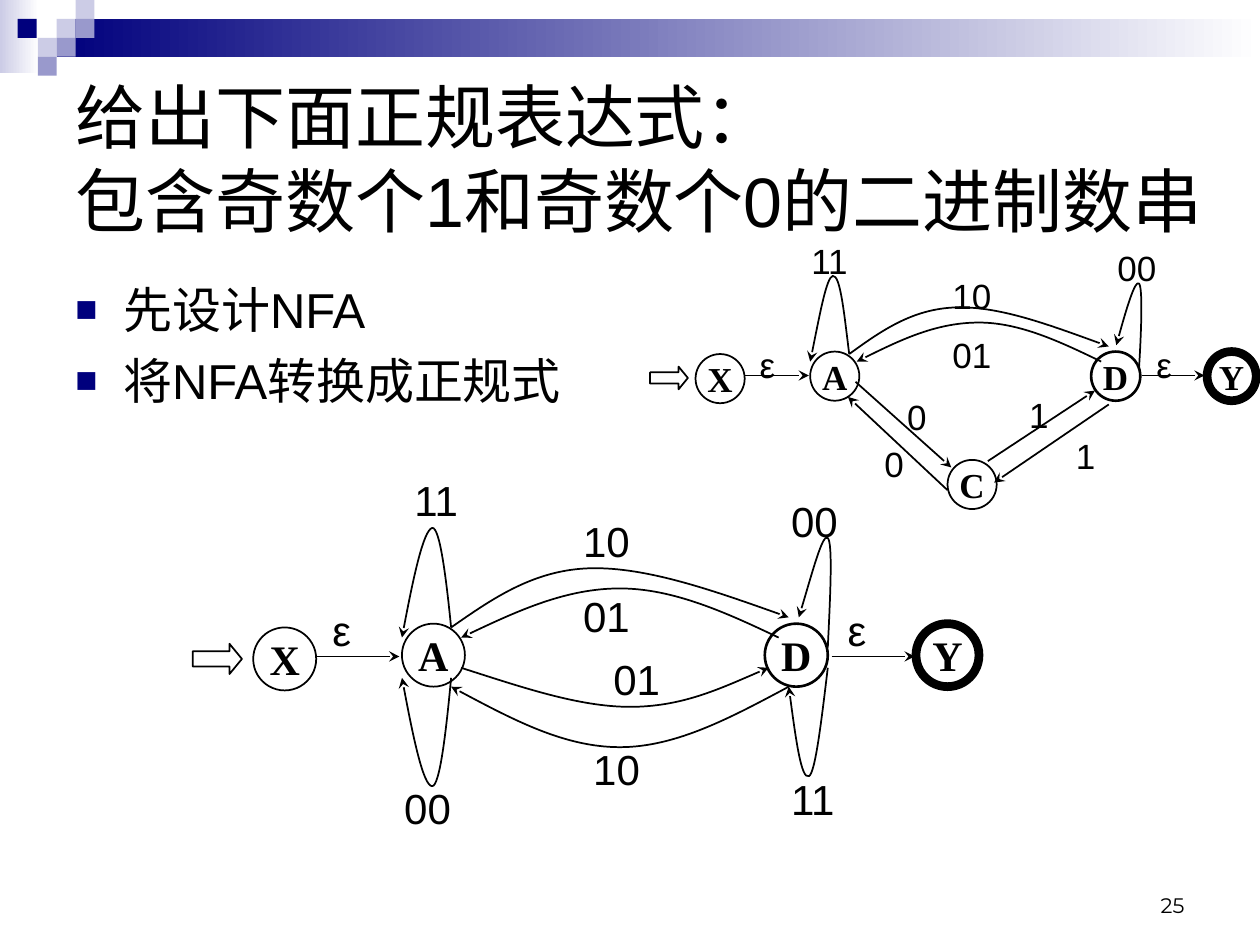
import copy

import lxml.etree
import pptx
import pptx.dml.color
import pptx.enum.shapes
import pptx.enum.text
import pptx.oxml.ns
import pptx.util

Inches = pptx.util.Inches
Pt = pptx.util.Pt
qn = pptx.oxml.ns.qn
Shape = pptx.enum.shapes.MSO_SHAPE
Align = pptx.enum.text.PP_ALIGN
Anchor = pptx.enum.text.MSO_ANCHOR
AutoSize = pptx.enum.text.MSO_AUTO_SIZE

COLORS = {"ink": "000000", "navy": "00007D", "violet": "9999CC",
          "pale": "CCCCE6", "white": "FFFFFF"}

# Left, top and colour of the small squares in the corner
SQUARES = [(0.45, 0.15, "pale"), (0.6, 0, "pale"), (0.6, 0.15, "violet"),
           (0.3, 0.3, "pale"), (0.14, 0.15, "navy"),
           (0.45, 0.3, "violet"), (0.3, 0.45, "violet")]

# Label width by text size and text
LABEL_WIDTHS = {20: {"ε": 0.32, "0": 0.35, "1": 0.35}, 24: {"ε": 0.34}}
PAIR_WIDTHS = {20: 0.51, 24: 0.57}

# nodes: name, left, top, line width; labels: text, left, top
# lines: start, end, width; curves: start, then three points per Bezier piece
WITH_STATE_C = {
    "size": 20, "node": 0.39, "label_height": 0.44,
    "entry": (5.16, 2.91, 0.3, 0.18),
    "nodes": [("A", 6.43, 2.79, 1), ("D", 8.66, 2.79, 1.5), ("C", 7.52, 3.65, 1),
              ("Y", 9.58, 2.79, 5), ("X", 5.52, 2.81, 1)],
    "labels": [("10", 7.46, 2.13), ("11", 6.34, 1.85), ("1", 8.44, 3.4),
               ("0", 6.92, 3.46), ("1", 8.07, 3.07), ("0", 7.1, 3.09),
               ("ε", 5.93, 2.68), ("ε", 9.08, 2.68), ("01", 7.46, 2.6),
               ("00", 8.77, 1.91)],
    "lines": [((8.8, 3.21), (7.89, 3.83), 1), ((7.84, 3.66), (8.69, 3.1), 1),
              ((7.52, 3.89), (6.73, 3.15), 1), ((6.79, 3.03), (7.55, 3.71), 1),
              ((5.91, 2.98), (6.42, 2.98), 0.75), ((9.06, 2.98), (9.56, 2.98), 0.75)],
    "curves": [
        [(6.74, 2.81), (6.99, 2.63), (7.24, 2.45), (7.59, 2.44),
         (7.93, 2.43), (8.36, 2.59), (8.8, 2.75)],
        [(8.74, 2.87), (8.41, 2.71), (8.09, 2.56), (7.77, 2.56),
         (7.44, 2.56), (7.12, 2.71), (6.8, 2.87)],
        [(6.74, 2.81), (6.7, 2.49), (6.67, 2.18), (6.61, 2.19),
         (6.56, 2.2), (6.5, 2.53), (6.43, 2.87)],
        [(9.04, 2.93), (9.06, 2.61), (9.07, 2.28), (9.04, 2.25),
         (9.01, 2.22), (8.93, 2.48), (8.86, 2.74)]],
}
WITHOUT_STATE_C = {
    "size": 24, "node": 0.5, "label_height": 0.5,
    "entry": (1.53, 5.11, 0.39, 0.24),
    "nodes": [("A", 3.19, 4.95, 1), ("D", 6.07, 4.95, 1.5),
              ("Y", 7.27, 4.95, 5), ("X", 2.01, 4.98, 1)],
    "labels": [("01", 4.77, 5.14), ("10", 4.61, 5.85), ("00", 3.11, 6.16),
               ("10", 4.53, 4.04), ("11", 3.19, 3.72), ("ε", 2.54, 4.75),
               ("ε", 6.63, 4.75), ("01", 4.53, 4.64), ("00", 6.18, 3.88),
               ("11", 6.18, 6.09)],
    "lines": [((2.51, 5.21), (3.17, 5.21), 0.75), ((6.6, 5.21), (7.26, 5.21), 0.75)],
    "curves": [
        [(3.66, 5.3), (4.13, 5.45), (4.59, 5.61), (5, 5.61),
         (5.41, 5.61), (5.75, 5.45), (6.1, 5.3)],
        [(6.26, 5.45), (5.81, 5.69), (5.37, 5.93), (4.92, 5.93),
         (4.48, 5.93), (4.03, 5.69), (3.58, 5.45)],
        [(3.58, 5.38), (3.54, 5.81), (3.49, 6.24), (3.43, 6.24),
         (3.36, 6.24), (3.27, 5.81), (3.19, 5.38)],
        [(3.58, 4.98), (3.91, 4.75), (4.24, 4.52), (4.69, 4.51),
         (5.13, 4.5), (5.7, 4.7), (6.26, 4.9)],
        [(6.18, 5.06), (5.76, 4.86), (5.34, 4.67), (4.92, 4.67),
         (4.5, 4.67), (4.08, 4.86), (3.66, 5.06)],
        [(3.58, 4.98), (3.54, 4.58), (3.49, 4.18), (3.43, 4.19),
         (3.36, 4.21), (3.27, 4.63), (3.19, 5.06)],
        [(6.57, 5.14), (6.59, 4.73), (6.61, 4.31), (6.57, 4.27),
         (6.53, 4.23), (6.44, 4.57), (6.34, 4.9)],
        [(6.57, 5.3), (6.52, 5.72), (6.47, 6.14), (6.42, 6.16),
         (6.36, 6.19), (6.31, 5.82), (6.26, 5.45)]],
}


def rgb(name):
    return pptx.dml.color.RGBColor.from_string(COLORS[name])


def write_text(shape, text, size, font="Arial", bold=False, align=Align.LEFT,
               anchor=Anchor.TOP, wrap=True, auto_size=AutoSize.NONE, bullet=False):
    """Fill a shape with one paragraph per line of text; a vertical tab breaks a line."""
    frame = shape.text_frame
    frame.text = text
    frame.word_wrap, frame.vertical_anchor, frame.auto_size = wrap, anchor, auto_size
    for index, paragraph in enumerate(frame.paragraphs):
        if bullet:
            add_bullet(paragraph)
            paragraph.space_before = Pt(7 if index else 0)
        paragraph.alignment = align
        for run in paragraph.runs:
            run.font.size, run.font.name, run.font.bold = Pt(size), font, bold
            run.font.color.rgb = rgb("ink")
        for line_break in paragraph._p.findall(qn("a:br")):
            line_break.append(copy.deepcopy(paragraph.runs[0]._r.rPr))


def add_bullet(paragraph):
    properties = paragraph._p.get_or_add_pPr()
    properties.set("marL", str(Inches(0.38)))
    properties.set("indent", str(-Inches(0.38)))
    color = lxml.etree.SubElement(properties, qn("a:buClr"))
    lxml.etree.SubElement(color, qn("a:srgbClr"), val=COLORS["navy"])
    lxml.etree.SubElement(properties, qn("a:buSzPct"), val="75000")
    lxml.etree.SubElement(properties, qn("a:buFont"), typeface="Arial")
    lxml.etree.SubElement(properties, qn("a:buChar"), char="■")


def add_text(shapes, text, box, size, **text_format):
    write_text(shapes.add_textbox(*map(Inches, box)), text, size, **text_format)


def add_block(shapes, box, *colors):
    """Add a rectangle in one colour, or blended from the right colour to the left one."""
    block = shapes.add_shape(Shape.RECTANGLE, *map(Inches, box))
    block.shadow.inherit = False
    block.line.fill.background()
    if len(colors) == 1:
        block.fill.solid()
        block.fill.fore_color.rgb = rgb(colors[0])
        return
    block.fill.gradient()
    block.fill.gradient_angle = 180
    for stop, color in zip(block.fill.gradient_stops, colors):
        stop.color.rgb = rgb(color)


def outline(shape, width):
    shape.shadow.inherit = False
    shape.fill.background()
    draw_line(shape, width)


def draw_line(shape, width, arrow=False):
    shape.line.color.rgb = rgb("ink")
    shape.line.width = Pt(width)
    if arrow:
        lxml.etree.SubElement(shape.line._get_or_add_ln(), qn("a:tailEnd"), type="stealth")


def add_arrow(shapes, start, end, width):
    line = shapes.add_connector(pptx.enum.shapes.MSO_CONNECTOR.STRAIGHT,
                                *map(Inches, start + end))
    draw_line(line, width, arrow=True)
    lxml.etree.SubElement(line._element.spPr, qn("a:effectLst"))


def add_curved_arrow(shapes, points):
    """Build an open outline and turn every three segments into one Bezier piece."""
    start, *others = [tuple(map(Inches, point)) for point in points]
    builder = shapes.build_freeform(*start)
    builder.add_line_segments(others, close=False)
    curve = builder.convert_to_shape()
    outline(curve, 1)
    draw_line(curve, 1, arrow=True)
    segments = list(curve._element.iter(qn("a:lnTo")))
    for first in range(0, len(segments), 3):
        piece = lxml.etree.SubElement(segments[0].getparent(), qn("a:cubicBezTo"))
        for segment in segments[first:first + 3]:
            piece.append(segment[0])
    for segment in segments:
        segment.getparent().remove(segment)


def add_state(shapes, name, left, top, width, diameter, size):
    state = shapes.add_shape(Shape.OVAL, *map(Inches, (left, top, diameter, diameter)))
    outline(state, width)
    write_text(state, name, size, font="Times New Roman", bold=True,
               align=Align.CENTER, anchor=Anchor.MIDDLE, wrap=False)


def add_automaton(slide, automaton):
    shapes = slide.shapes.add_group_shape().shapes
    size = automaton["size"]
    entry = shapes.add_shape(Shape.RIGHT_ARROW, *map(Inches, automaton["entry"]))
    entry.adjustments[1] = 0.41
    outline(entry, 1)
    for node in automaton["nodes"]:
        add_state(shapes, *node, automaton["node"], size)
    for line in automaton["lines"]:
        add_arrow(shapes, *line)
    for points in automaton["curves"]:
        add_curved_arrow(shapes, points)
    for text, left, top in automaton["labels"]:
        width = LABEL_WIDTHS[size].get(text, PAIR_WIDTHS[size])
        add_text(shapes, text, (left, top, width, automaton["label_height"]), size,
                 wrap=False, auto_size=AutoSize.SHAPE_TO_FIT_TEXT)


def add_title(slide, text):
    title = slide.shapes.title
    title.left, title.top, title.width, title.height = map(Inches, (0.5, 0.5, 9.38, 1.5))
    write_text(title, text, 40, anchor=Anchor.MIDDLE)


def main():
    presentation = pptx.Presentation()
    presentation.slide_width, presentation.slide_height = Inches(10), Inches(7.5)
    slide = presentation.slides.add_slide(presentation.slide_layouts[5])
    add_block(slide.shapes, (0, 0, 0.31, 0.58), "white", "pale")
    add_block(slide.shapes, (0.45, 0.15, 9.55, 0.3), "white", "navy")
    for left, top, color in SQUARES:
        add_block(slide.shapes, (left, top, 0.15, 0.15), color)
    add_title(slide, "给出下面正规表达式：\v包含奇数个1和奇数个0的二进制数串")
    slide.shapes._spTree.append(slide.shapes.title._element)
    add_text(slide.shapes, "先设计NFA\n将NFA转换成正规式", (0.5, 2.17, 9, 4.25), 28, bullet=True)
    add_automaton(slide, WITH_STATE_C)
    add_automaton(slide, WITHOUT_STATE_C)
    add_text(slide.shapes, "25", (7.17, 6.83, 2.33, 0.5), 12, font="Montserrat",
             align=Align.RIGHT, anchor=Anchor.BOTTOM)
    presentation.save("out.pptx")


if __name__ == "__main__":
    main()
